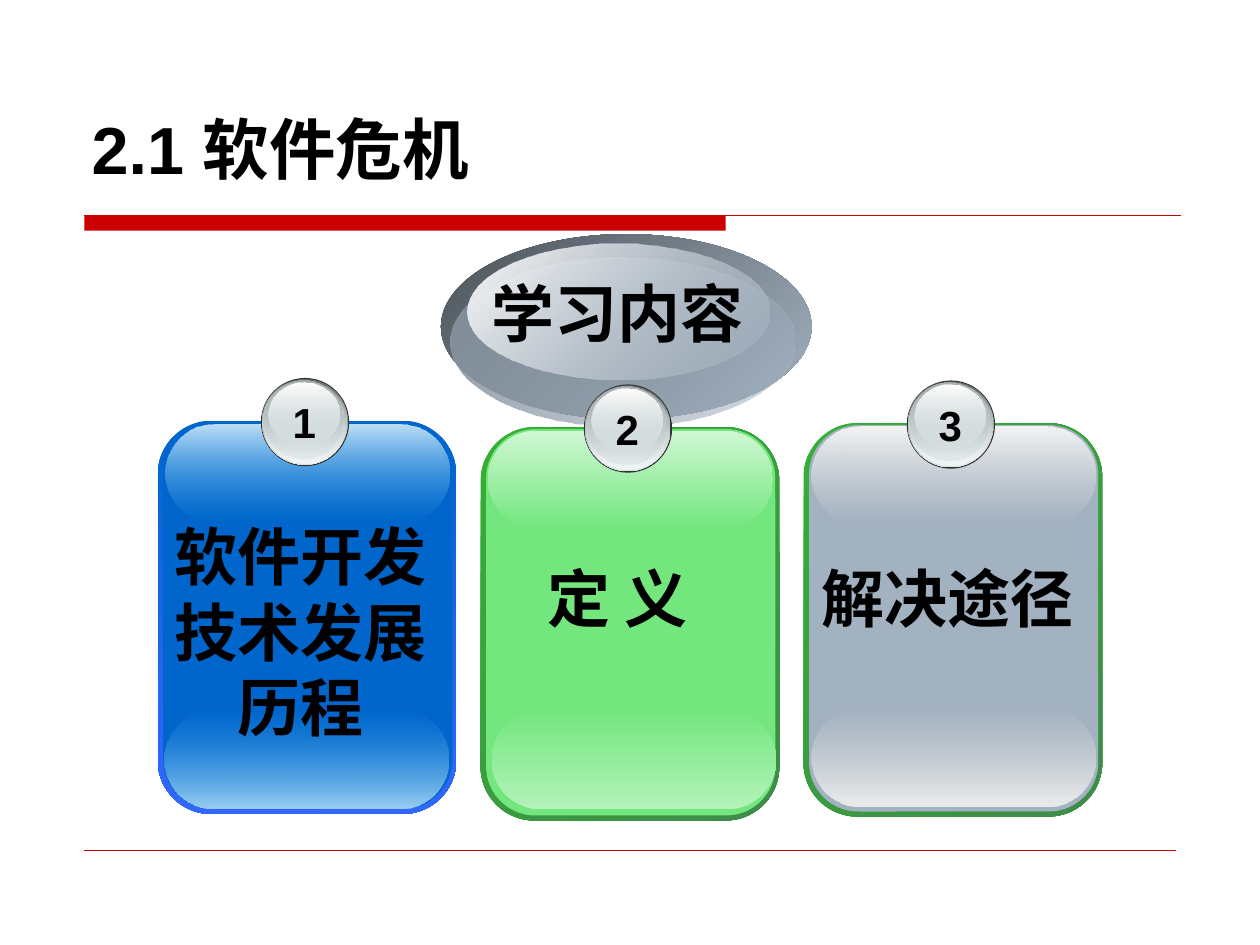
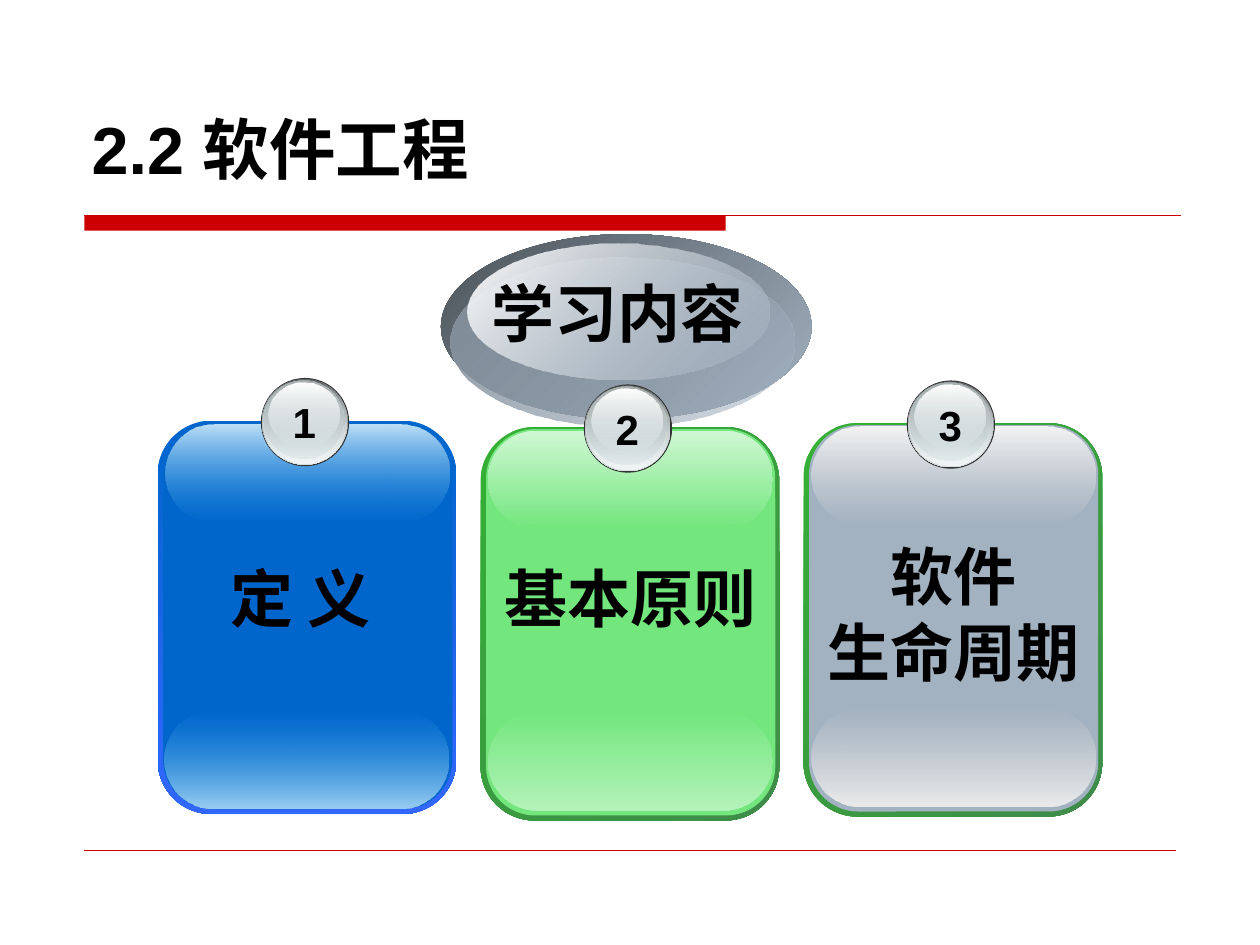
from dataclasses import dataclass

from lxml.etree import SubElement
from pptx import Presentation
from pptx.dml.color import RGBColor
from pptx.enum.shapes import MSO_CONNECTOR, MSO_SHAPE
from pptx.enum.text import MSO_ANCHOR, MSO_AUTO_SIZE, PP_ALIGN
from pptx.oxml.ns import qn
from pptx.util import Cm, Pt


@dataclass(frozen=True)
class Grad:
    start: str
    end: str
    angle: int = 90
    start_alpha: int = 100
    end_alpha: int = 100


@dataclass(frozen=True)
class CardStyle:
    rim: Grad
    face: str
    top_gloss: Grad
    low_gloss: Grad


@dataclass(frozen=True)
class Label:
    text: str
    dx: float
    dy: float
    lines: int = 1
    gloss_at: tuple = (0.15, 5.75)


@dataclass(frozen=True)
class Theme:
    font: str = "Arial"
    ink: str = "000000"
    red: str = "CC0000"
    title: int = 38
    label: int = 36
    number: int = 24
    hub: tuple = (
        Grad("4B5259", "A3B2C1", 45),
        Grad("818D99", "A3B2C1", 45, end_alpha=48),
        Grad("FFFFFF", "A3B2C1", 45, end_alpha=38),
    )
    badge: tuple = (
        "333333",
        Grad("636869", "D6E1E2"),
        Grad("D6E1E2", "F1F5F5", start_alpha=0),
        Grad("AAB2B3", "D6E1E2", end_alpha=48),
        Grad("FFFFFF", "D6E1E2", end_alpha=38),
    )
    cards: tuple = (
        CardStyle(Grad("0066CC", "3366FF"), "0066CC",
                  Grad("BEE0F7", "3CA1E6", end_alpha=0),
                  Grad("3CA1E6", "9BCFF2", start_alpha=0)),
        CardStyle(Grad("34B034", "3F8B4A", 45), "73E77E",
                  Grad("D0F7D4", "73E77E"), Grad("73E77E", "B3F2B9")),
        CardStyle(Grad("34B034", "3F8B4A", 45), "A3B2C1",
                  Grad("F4F4F4", "DDDDDD", end_alpha=0),
                  Grad("DDDDDD", "ECECEC", start_alpha=0)),
    )


T = Theme()
HUB_LAYERS = ((0, 0, 7.47, 3.73), (0.2, 0.48, 6.93, 3.4), (0.53, 0.2, 6.1, 2.74))
BADGE_LAYERS = (
    (0, 0, 1.78, 1.78),
    (0.02, 0.02, 1.73, 1.73),
    (0.04, 0.04, 1.68, 1.68),
    (0.06, 0.05, 1.6, 1.57),
    (0.16, 0.09, 1.42, 1.27),
)
CARD_LEFT, CARD_PITCH = 3.18, 6.51
CARD_TOPS = (8.48, 8.61, 8.53)


def paint(sp, fill):
    if isinstance(fill, str):
        sp.fill.solid()
        sp.fill.fore_color.rgb = RGBColor.from_string(fill)
        return
    sp.fill.gradient()
    sp.fill.gradient_angle = 360 - fill.angle
    for stop, color in zip(sp.fill.gradient_stops, (fill.start, fill.end)):
        stop.color.rgb = RGBColor.from_string(color)
    colors = sp.element.spPr.iter(qn("a:srgbClr"))
    for clr, alpha in zip(list(colors), (fill.start_alpha, fill.end_alpha)):
        if alpha < 100:
            SubElement(clr, qn("a:alpha")).set("val", str(alpha * 1000))


def add_part(s, kind, box, fill, radius=None):
    sp = s.shapes.add_shape(kind, *map(Cm, box))
    sp.shadow.inherit = False
    sp.line.fill.background()
    paint(sp, fill)
    if radius is not None:
        sp.adjustments[0] = radius


def add_text(s, text, box, size, align=PP_ALIGN.CENTER, anchor=MSO_ANCHOR.TOP,
             wrap=True, grow=True):
    tf = s.shapes.add_textbox(*map(Cm, box)).text_frame
    tf.word_wrap = wrap
    tf.vertical_anchor = anchor
    tf.auto_size = MSO_AUTO_SIZE.SHAPE_TO_FIT_TEXT if grow else MSO_AUTO_SIZE.NONE
    tf.text = text
    for p in tf.paragraphs:
        p.alignment = align
        p.font.name = T.font
        p.font.size = Pt(size)
        p.font.bold = True
        p.font.color.rgb = RGBColor.from_string(T.ink)


def add_rule(s, x1, x2, y, weight):
    c = s.shapes.add_connector(MSO_CONNECTOR.STRAIGHT, Cm(x1), Cm(y), Cm(x2), Cm(y))
    c.line.color.rgb = RGBColor.from_string(T.red)
    c.line.width = Pt(weight)
    SubElement(c.element.spPr, qn("a:effectLst"))


def add_frame(s, title):
    add_part(s, MSO_SHAPE.RECTANGLE, (1.7, 4.34, 12.93, 0.31), T.red)
    add_rule(s, 1.7, 23.8, 4.34, 0.75)
    add_rule(s, 1.7, 23.7, 17.15, 0.25)
    add_text(s, title, (1.6, 0.53, 22.23, 3.38), T.title,
             align=PP_ALIGN.LEFT, anchor=MSO_ANCHOR.BOTTOM, grow=False)


def add_discs(s, x, y, layers, fills):
    for (dx, dy, w, h), fill in zip(layers, fills):
        add_part(s, MSO_SHAPE.OVAL, (x + dx, y + dy, w, h), fill)


def add_hub(s, x, y, text):
    add_discs(s, x, y, HUB_LAYERS, T.hub)
    add_text(s, text, (x + 0.69, y + 0.69, 5.72, 1.78), T.label)


def add_badge(s, x, y, number):
    add_discs(s, x, y, BADGE_LAYERS, T.badge)
    add_text(s, str(number), (x, y + 0.25, 1.75, 1.27), T.number, wrap=False)


def add_card(s, x, y, number, style, label):
    gx, gy = label.gloss_at
    for dx, dy, w, h, fill, radius in (
        (0, 0, 6.02, 7.93, style.rim, 0.18),
        (0.11, 0.04, 5.83, 7.79, style.face, 0.17),
        (gx, gy, 5.74, 1.98, style.low_gloss, 0.5),
        (0.15, 0.07, 5.74, 1.96, style.top_gloss, 0.5),
    ):
        add_part(s, MSO_SHAPE.ROUNDED_RECTANGLE, (x + dx, y + dy, w, h), fill, radius)
    add_badge(s, x + 2.08, y - 0.86, number)
    box = (x + label.dx, y + label.dy, 5.66, 0.25 + 1.53 * label.lines)
    add_text(s, label.text, box, T.label)


def add_section(prs, title, labels):
    s = prs.slides.add_slide(prs.slide_layouts[6])
    add_frame(s, title)
    add_hub(s, 8.89, 4.72, "学习内容")
    for i, (top, style, label) in enumerate(zip(CARD_TOPS, T.cards, labels)):
        add_card(s, CARD_LEFT + i * CARD_PITCH, top, i + 1, style, label)


def main():
    prs = Presentation()
    prs.slide_width, prs.slide_height = Cm(25.4), Cm(19.05)
    add_section(prs, "2.1 软件危机", (
        Label("软件开发技术发展历程", 0.05, 1.83, 3, (0.13, 5.84)),
        Label("定 义", -0.07, 2.54, gloss_at=(0.22, 5.72)),
        Label("解决途径", 0.07, 2.62),
    ))
    add_section(prs, "2.2 软件工程", (
        Label("定 义", 0.05, 2.67, gloss_at=(0.13, 5.84)),
        Label("基本原则", 0.2, 2.54),
        Label("软件\n生命周期", 0.2, 2.19, 2),
    ))
    prs.save("out.pptx")


if __name__ == "__main__":
    main()
